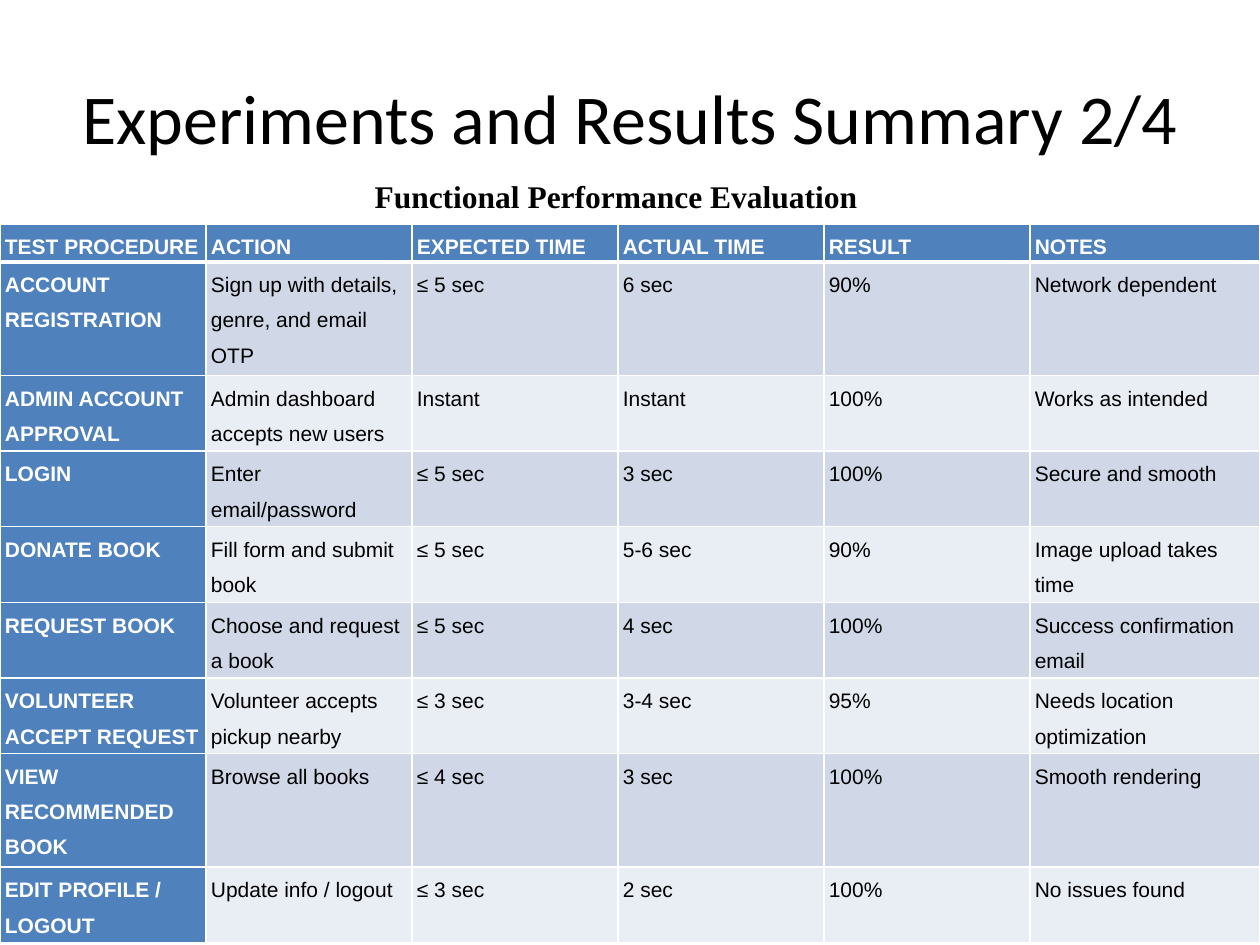
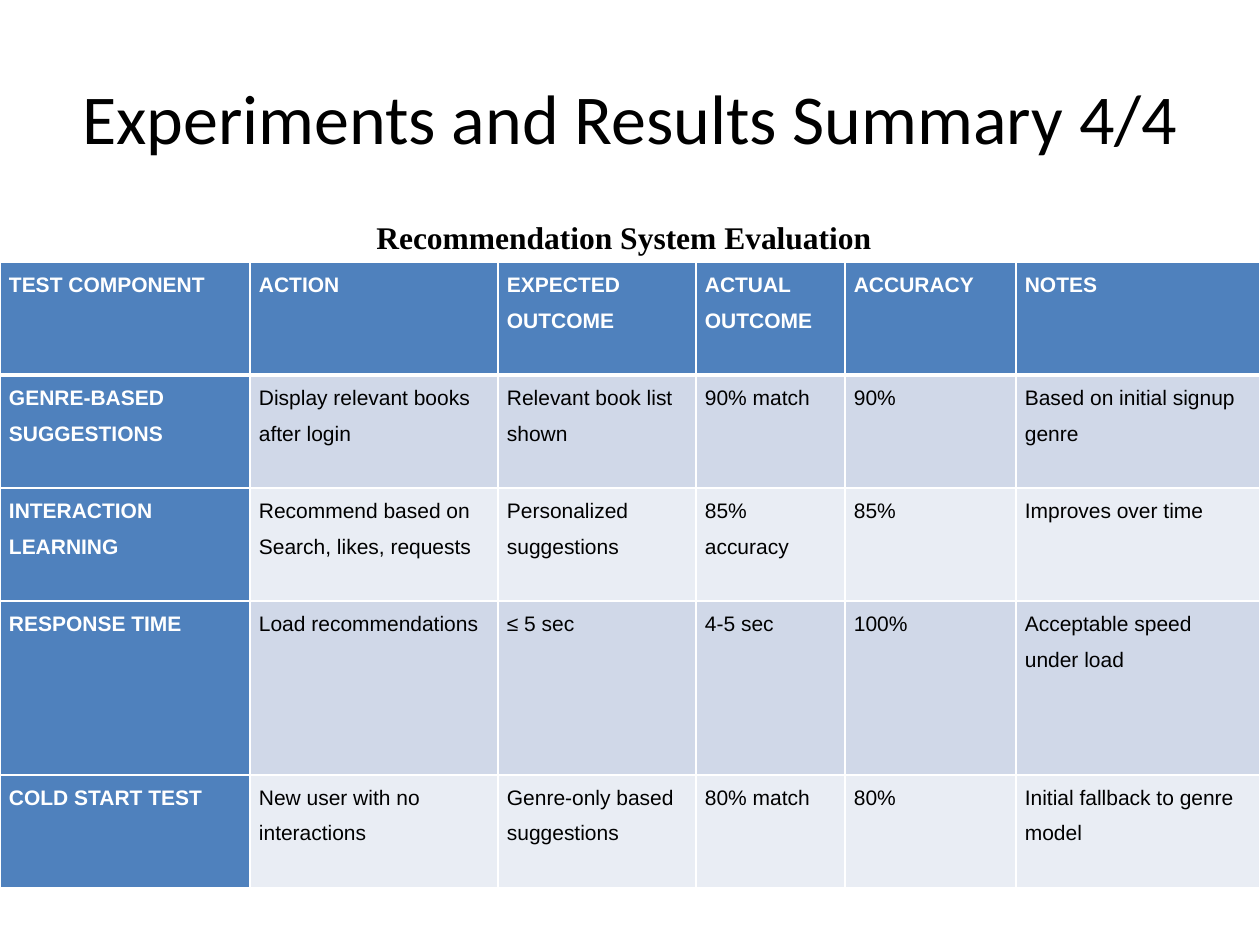
from lxml import etree
from pptx import Presentation
from pptx.dml.color import RGBColor
from pptx.enum.text import MSO_ANCHOR, PP_ALIGN
from pptx.oxml.ns import qn
from pptx.util import Pt

PX = 914400 / 126
SLIDE_WIDTH, SLIDE_HEIGHT = 1260, 945
LEFT, CENTER = PP_ALIGN.LEFT, PP_ALIGN.CENTER
TOP, MIDDLE = MSO_ANCHOR.TOP, MSO_ANCHOR.MIDDLE
COLORS = {
    "ink": "000000",
    "white": "FFFFFF",
    "heading": "4F81BD",
    "band_dark": "D0D8E8",
    "band_light": "E9EDF4",
}
TITLE_BOX = (63, 38, 1134, 158)

FUNCTIONAL_ROWS = [
    ("TEST PROCEDURE", "ACTION", "EXPECTED TIME", "ACTUAL TIME", "RESULT", "NOTES"),
    ("ACCOUNT REGISTRATION", "Sign up with details, genre, and email OTP",
     "≤ 5 sec", "6 sec", "90%", "Network dependent"),
    ("ADMIN ACCOUNT APPROVAL", "Admin dashboard accepts new users",
     "Instant", "Instant", "100%", "Works as intended"),
    ("LOGIN", "Enter email/password", "≤ 5 sec", "3 sec", "100%", "Secure and smooth"),
    ("DONATE BOOK", "Fill form and submit book",
     "≤ 5 sec", "5-6 sec", "90%", "Image upload takes time"),
    ("REQUEST BOOK", "Choose and request a book",
     "≤ 5 sec", "4 sec", "100%", "Success confirmation email"),
    ("VOLUNTEER ACCEPT REQUEST", "Volunteer accepts pickup nearby",
     "≤ 3 sec", "3-4 sec", "95%", "Needs location optimization"),
    ("VIEW RECOMMENDED BOOK", "Browse all books",
     "≤ 4 sec", "3 sec", "100%", "Smooth rendering"),
    ("EDIT PROFILE / LOGOUT", "Update info / logout",
     "≤ 3 sec", "2 sec", "100%", "No issues found"),
]
RECOMMENDATION_ROWS = [
    ("TEST COMPONENT", "ACTION", "EXPECTED OUTCOME", "ACTUAL OUTCOME", "ACCURACY", "NOTES"),
    ("GENRE-BASED SUGGESTIONS", "Display relevant books after login",
     "Relevant book list shown", "90% match", "90%", "Based on initial signup genre"),
    ("INTERACTION LEARNING", "Recommend based on Search, likes, requests",
     "Personalized suggestions", "85% accuracy", "85%", "Improves over time"),
    ("RESPONSE TIME", "Load recommendations",
     "≤ 5 sec", "4-5 sec", "100%", "Acceptable speed under load"),
    ("COLD START TEST", "New user with no interactions",
     "Genre-only based suggestions", "80% match", "80%", "Initial fallback to genre model"),
]


def px(length):
    """Turn px into EMU."""
    return round(length * PX)


def rgb(name):
    """Look up a named colour."""
    return RGBColor.from_string(COLORS[name])


def style_font(font, family, size, color, bold=False):
    """Set the whole look of a font."""
    font.name, font.size, font.bold = family, Pt(size), bold
    font.color.rgb = rgb(color)


def add_text(slide, box, text, family, size, bold=False, align=CENTER, anchor=TOP):
    """Add one wrapped line of black text."""
    frame = slide.shapes.add_textbox(*map(px, box)).text_frame
    frame.word_wrap = True
    frame.vertical_anchor = anchor
    paragraph = frame.paragraphs[0]
    paragraph.text, paragraph.alignment = text, align
    style_font(paragraph.font, family, size, "ink", bold)


def add_border(cell, side, width):
    """Draw a white line on one side of a cell."""
    properties = cell._tc.get_or_add_tcPr()
    line = etree.SubElement(properties, qn(f"a:ln{side}"), w=str(Pt(width)))
    fill = etree.SubElement(line, qn("a:solidFill"))
    etree.SubElement(fill, qn("a:srgbClr"), val=COLORS["white"])


def fill_cell(cell, text, row, column, side_margin):
    """Write and style a cell by its place in the table."""
    is_heading = row == 0 or column == 0
    band = "band_dark" if row % 2 else "band_light"
    cell.margin_left = cell.margin_right = px(side_margin)
    cell.margin_top = cell.margin_bottom = 0
    border_widths = {"L": 1, "R": 1, "T": 3 if row == 1 else 1, "B": 3 if row == 0 else 1}
    for side, width in border_widths.items():
        add_border(cell, side, width)
    cell.fill.solid()
    cell.fill.fore_color.rgb = rgb("heading" if is_heading else band)
    paragraph = cell.text_frame.paragraphs[0]
    paragraph.text, paragraph.line_spacing = text, 1.5
    style_font(paragraph.font, "Arial", 12, "white" if is_heading else "ink", is_heading)


def add_results_table(slide, top, widths, heights, rows, side_margin):
    """Add a full-width table of test results."""
    results = slide.shapes.add_table(
        len(rows), len(widths), 0, px(top), px(sum(widths)), px(sum(heights))).table
    for column, width in zip(results.columns, widths):
        column.width = px(width)
    for row, height in zip(results.rows, heights):
        row.height = px(height)
    for r, texts in enumerate(rows):
        for c, text in enumerate(texts):
            fill_cell(results.cell(r, c), text, r, c, side_margin)


def add_results_slide(deck, part, subtitle, subtitle_box, subtitle_align, **table):
    """Add a slide with title, results table and subtitle."""
    slide = deck.slides.add_slide(deck.slide_layouts[6])
    add_text(slide, TITLE_BOX, f"Experiments and Results Summary {part}/4",
             "Calibri", 40, anchor=MIDDLE)
    add_results_table(slide, **table)
    add_text(slide, subtitle_box, subtitle, "Times New Roman", 18,
             bold=True, align=subtitle_align)


def main():
    """Build and save the two result slides."""
    deck = Presentation()
    deck.slide_width, deck.slide_height = px(SLIDE_WIDTH), px(SLIDE_HEIGHT)
    add_results_slide(
        deck, 2, "Functional Performance Evaluation ", (63, 171, 1114, 53), CENTER,
        top=224, widths=[206] * 5 + [230], heights=[36, 113] + [74] * 5 + [113, 74],
        rows=FUNCTIONAL_ROWS, side_margin=5)
    add_results_slide(
        deck, 4, "Recommendation System Evaluation", (364, 212, 896, 50), LEFT,
        top=262, widths=[250, 248, 198, 149, 171, 244], heights=[113] * 3 + [174, 113],
        rows=RECOMMENDATION_ROWS, side_margin=9)
    deck.save("out.pptx")


if __name__ == "__main__":
    main()
